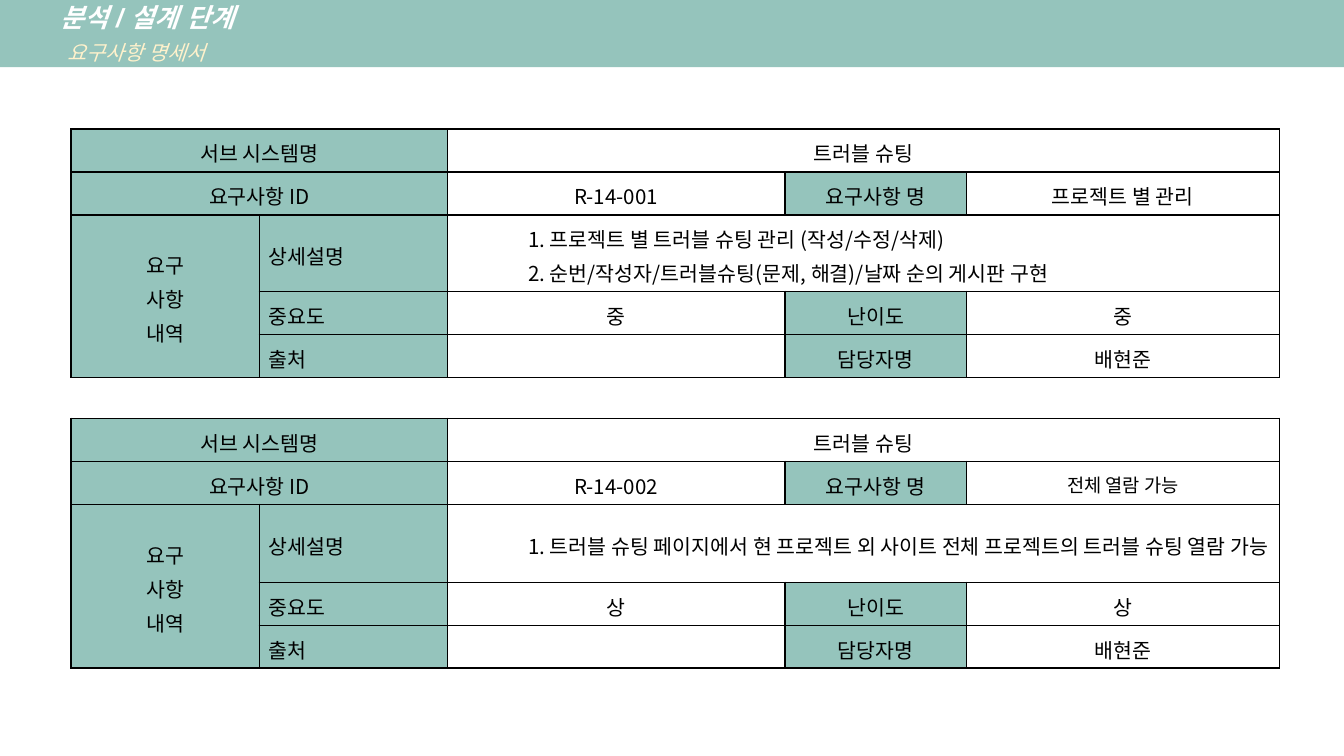
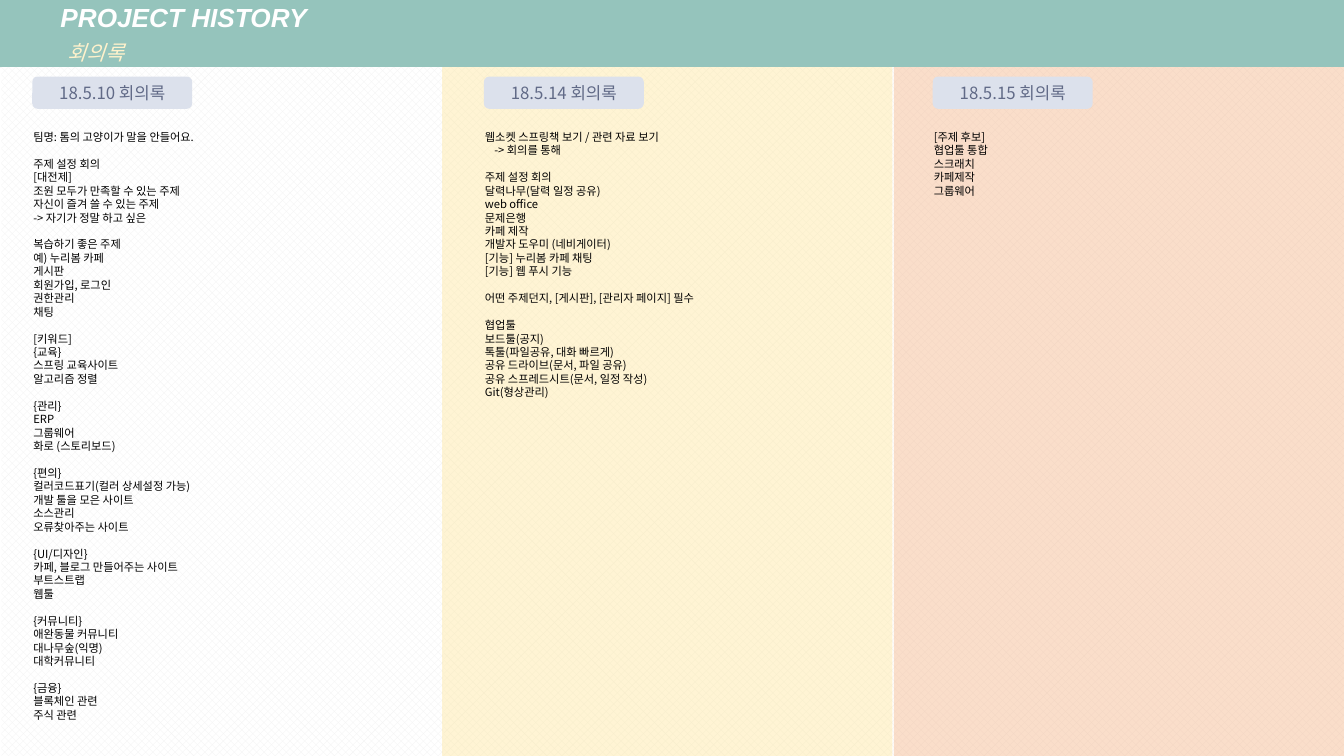
"""Build a requirements table slide and a meeting history slide."""
from lxml.etree import SubElement
from pptx import Presentation
from pptx.dml.color import RGBColor
from pptx.enum.dml import MSO_PATTERN
from pptx.enum.shapes import MSO_SHAPE
from pptx.enum.text import MSO_ANCHOR, MSO_AUTO_SIZE, PP_ALIGN
from pptx.oxml import parse_xml
from pptx.oxml.ns import nsdecls, qn
from pptx.util import Emu, Inches, Pt

WHITE = RGBColor(0xFF, 0xFF, 0xFF)
BLACK = RGBColor(0x00, 0x00, 0x00)
TEAL = RGBColor(0x95, 0xC4, 0xBC)
CREAM = RGBColor(0xFF, 0xF2, 0xCC)
PALE_GRAY = RGBColor(0xF2, 0xF2, 0xF2)
YELLOW = RGBColor(0xFF, 0xE6, 0x99)
ORANGE = RGBColor(0xF4, 0xB1, 0x83)
BADGE_FILL = RGBColor(0xDC, 0xE1, 0xEC)
BADGE_TEXT = RGBColor(0x61, 0x6A, 0x87)

TITLE_FONT = "Arial"
BODY_FONT = "Noto Sans CJK KR"
SLIDE_WIDTH = 10
SLIDE_HEIGHT = SLIDE_WIDTH * 9 / 16
BAND_BOTTOM = 0.5
PANEL_HEIGHT = SLIDE_HEIGHT - BAND_BOTTOM
NOTE_LINE = 7.2
TINT_PERCENT = 42

COLUMN_WIDTHS = [1.4, 1.4, 2.51, 1.35, 2.33]
ROW, SPACER = 0.32, 0.29
RECORD_ROWS = 5
RECORDS = [
    {
        "system": "트러블 슈팅", "id": "R-14-001", "name": "프로젝트 별 관리", "name_size": 11,
        "details": ["1. 프로젝트 별 트러블 슈팅 관리 (작성/수정/삭제)",
                    "2. 순번/작성자/트러블슈팅(문제, 해결)/날짜 순의 게시판 구현"],
        "importance": "중", "difficulty": "중", "owner": "배현준", "detail_height": 0.57,
    },
    {
        "system": "트러블 슈팅", "id": "R-14-002", "name": "전체 열람 가능", "name_size": 10,
        "details": ["1. 트러블 슈팅 페이지에서 현 프로젝트 외 사이트 전체 프로젝트의 트러블 슈팅 열람 가능"],
        "importance": "상", "difficulty": "상", "owner": "배현준", "detail_height": 0.58,
    },
]
LABELS = [
    (0, 0, ["서브 시스템명"], PP_ALIGN.CENTER),
    (1, 0, ["요구사항 ID"], PP_ALIGN.CENTER),
    (1, 3, ["요구사항 명"], PP_ALIGN.CENTER),
    (2, 0, ["요구", "사항", "내역"], PP_ALIGN.CENTER),
    (2, 1, ["상세설명"], PP_ALIGN.LEFT),
    (3, 1, ["중요도"], PP_ALIGN.LEFT),
    (3, 3, ["난이도"], PP_ALIGN.CENTER),
    (4, 1, ["출처"], PP_ALIGN.LEFT),
    (4, 3, ["담당자명"], PP_ALIGN.CENTER),
]
VALUES = [(0, 2, "system"), (1, 2, "id"), (1, 4, "name"), (3, 2, "importance"),
          (3, 4, "difficulty"), (4, 4, "owner")]
MERGES = [((0, 0), (0, 1)), ((0, 2), (0, 4)), ((1, 0), (1, 1)),
          ((2, 0), (4, 0)), ((2, 2), (2, 4))]

INDENTED_NOTE = "-> 회의를 통해"
MEETINGS = [
    (0.15, "18.5.10 회의록", [
        ["팀명: 톰의 고양이가 말을 안들어요."],
        ["주제 설정 회의", "[대전제]", "조원 모두가 만족할 수 있는 주제",
         "자신이 즐겨 쓸 수 있는 주제", "-> 자기가 정말 하고 싶은"],
        ["복습하기 좋은 주제", "예) 누리봄 카페", "게시판", "회원가입, 로그인", "권한관리", "채팅"],
        ["[키워드]", "{교육}", "스프링 교육사이트", "알고리즘 정렬"],
        ["{관리}", "ERP", "그룹웨어", "화로 (스토리보드)"],
        ["{편의}", "컬러코드표기(컬러 상세설정 가능)", "개발 툴을 모은 사이트", "소스관리",
         "오류찾아주는 사이트"],
        ["{UI/디자인}", "카페, 블로그 만들어주는 사이트", "부트스트랩", "웹툴"],
        ["{커뮤니티}", "애완동물 커뮤니티", "대나무숲(익명)", "대학커뮤니티"],
        ["{금융}", "블록체인 관련", "주식 관련"],
    ]),
    (3.51, "18.5.14 회의록", [
        ["웹소켓 스프링책 보기 / 관련 자료 보기", INDENTED_NOTE],
        ["주제 설정 회의", "달력나무(달력 일정 공유)", "web office", "문제은행", "카페 제작",
         "개발자 도우미 (네비게이터)", "[기능] 누리봄 카페 채팅", "[기능] 웹 푸시 기능"],
        ["어떤 주제던지, [게시판], [관리자 페이지] 필수"],
        ["협업툴", "보드툴(공지)", "톡툴(파일공유, 대화 빠르게)", "공유 드라이브(문서, 파일 공유)",
         "공유 스프레드시트(문서, 일정 작성)", "Git(형상관리)"],
    ]),
    (6.85, "18.5.15 회의록", [
        ["[주제 후보]", "협업툴 통합", "스크래치", "카페제작", "그룹웨어"],
    ]),
]


def indent_paragraph(paragraph, inches):
    properties = paragraph._p.get_or_add_pPr()
    properties.set("marL", str(Inches(inches)))
    properties.set("indent", "0")


def style_runs(paragraph, size, color, font=BODY_FONT, bold=False, italic=False):
    for run in paragraph.runs:
        run.font.size = Pt(size)
        run.font.name = font
        run.font.bold = bold
        run.font.italic = italic
        run.font.color.rgb = color
        SubElement(run._r.get_or_add_rPr(), qn("a:ea")).set("typeface", font)


def write_lines(text_frame, lines):
    text_frame.text = "\n".join(lines)
    return text_frame.paragraphs


def add_box(slide, left, top, width, height, color=None, kind=MSO_SHAPE.RECTANGLE):
    shape = slide.shapes.add_shape(kind, Inches(left), Inches(top), Inches(width), Inches(height))
    shape.shadow.inherit = False
    shape.line.fill.background()
    if color is not None:
        shape.fill.solid()
        shape.fill.fore_color.rgb = color
    text_frame = shape.text_frame
    text_frame.vertical_anchor = MSO_ANCHOR.MIDDLE
    text_frame.margin_left = text_frame.margin_right = Inches(0.07)
    text_frame.margin_top = text_frame.margin_bottom = Inches(0.04)
    return shape


def add_title_band(slide, title, subtitle):
    band = add_box(slide, 0, -0.01, SLIDE_WIDTH, BAND_BOTTOM + 0.01, TEAL)
    heading, subheading = write_lines(band.text_frame, [title, subtitle])
    for paragraph, indent in ((heading, 0.38), (subheading, 0.43)):
        paragraph.level = 1
        paragraph.alignment = PP_ALIGN.LEFT
        indent_paragraph(paragraph, indent)
    subheading.space_before = Pt(4)
    style_runs(heading, 14, WHITE, TITLE_FONT, bold=True, italic=True)
    style_runs(subheading, 11, CREAM, TITLE_FONT, italic=True)


def set_borders(cell, visible_sides):
    properties = cell._tc.get_or_add_tcPr()
    for position, side in enumerate("LRTB"):
        paint = f'<a:solidFill><a:srgbClr val="{BLACK}"/></a:solidFill>'
        if side not in visible_sides:
            paint = "<a:noFill/>"
        border = parse_xml(f'<a:ln{side} {nsdecls("a")} w="{Pt(1)}">{paint}</a:ln{side}>')
        properties.insert(position, border)


def write_cell(cell, lines, alignment=PP_ALIGN.CENTER, size=11, indent=0):
    for paragraph in write_lines(cell.text_frame, lines):
        paragraph.alignment = alignment
        paragraph.line_spacing = 1.15
        if indent:
            indent_paragraph(paragraph, indent)
        style_runs(paragraph, size, BLACK)


def fill_record(table, first_row, record):
    for (top, left), (bottom, right) in MERGES:
        table.cell(first_row + top, left).merge(table.cell(first_row + bottom, right))
    for row, column, lines, alignment in LABELS:
        cell = table.cell(first_row + row, column)
        write_cell(cell, lines, alignment)
        cell.fill.solid()
        cell.fill.fore_color.rgb = TEAL
    for row, column, key in VALUES:
        size = record["name_size"] if key == "name" else 11
        write_cell(table.cell(first_row + row, column), [record[key]], size=size)
    write_cell(table.cell(first_row + 2, 2), record["details"], PP_ALIGN.LEFT, indent=0.53)


def add_requirements_table(slide):
    heights = []
    for record in RECORDS:
        if heights:
            heights.append(SPACER)
        heights += [ROW, ROW, record["detail_height"], ROW, ROW]
    frame = slide.shapes.add_table(len(heights), len(COLUMN_WIDTHS), Inches(0.53), Inches(0.96),
                                   Inches(sum(COLUMN_WIDTHS)), Inches(sum(heights)))
    table = frame.table
    table.first_row = table.horz_banding = False
    for column, width in zip(table.columns, COLUMN_WIDTHS):
        column.width = Inches(width)
    for index, (row, height) in enumerate(zip(table.rows, heights)):
        row.height = Inches(height)
        is_spacer = index % (RECORD_ROWS + 1) == RECORD_ROWS
        for cell in row.cells:
            cell.margin_left = cell.margin_right = Inches(0.07)
            cell.margin_top = cell.margin_bottom = Emu(0)
            cell.vertical_anchor = MSO_ANCHOR.MIDDLE
            cell.fill.solid()
            cell.fill.fore_color.rgb = WHITE
            set_borders(cell, "TB" if is_spacer else "LRTB")
        if is_spacer:
            table.cell(index, 0).merge(table.cell(index, len(COLUMN_WIDTHS) - 1))
    for number, record in enumerate(RECORDS):
        fill_record(table, number * (RECORD_ROWS + 1), record)


def add_panels(slide):
    for left, width in ((0.01, 3.31), (3.3, 6.7)):
        panel = add_box(slide, left, BAND_BOTTOM, width, PANEL_HEIGHT)
        panel.fill.patterned()
        panel.fill.pattern = MSO_PATTERN.SOLID_DIAMOND
        panel.fill.fore_color.rgb = PALE_GRAY
        panel.fill.back_color.rgb = WHITE
    for left, color in ((6.65, ORANGE), (3.29, YELLOW)):
        panel = add_box(slide, left, BAND_BOTTOM, 3.35, PANEL_HEIGHT, color)
        color_element = panel._element.spPr.find(qn("a:solidFill")).find(qn("a:srgbClr"))
        SubElement(color_element, qn("a:alpha")).set("val", str(TINT_PERCENT * 1000))


def add_meeting(slide, left, date, groups):
    lines = [line for group in groups for line in group]
    line_count = len(lines) + len(groups) - 1
    notes = slide.shapes.add_textbox(Inches(left), Inches(0.92), Inches(2.93),
                                     Inches(0.1 + line_count * NOTE_LINE / 72))
    text_frame = notes.text_frame
    text_frame.word_wrap = True
    text_frame.auto_size = MSO_AUTO_SIZE.SHAPE_TO_FIT_TEXT
    paragraphs = write_lines(text_frame, lines)
    for paragraph in paragraphs:
        paragraph.line_spacing = Pt(NOTE_LINE)
        if paragraph.text == INDENTED_NOTE:
            indent_paragraph(paragraph, 0.07)
        style_runs(paragraph, 6, BLACK)
    start = 0
    for group in groups[:-1]:
        start += len(group)
        paragraphs[start].space_before = Pt(NOTE_LINE)

    badge = add_box(slide, left + 0.09, 0.57, 1.19, 0.24, BADGE_FILL, MSO_SHAPE.ROUNDED_RECTANGLE)
    label = write_lines(badge.text_frame, [date])[0]
    label.alignment = PP_ALIGN.CENTER
    style_runs(label, 9, BADGE_TEXT)


def main():
    presentation = Presentation()
    presentation.slide_width = Inches(SLIDE_WIDTH)
    presentation.slide_height = Inches(SLIDE_HEIGHT)
    blank = presentation.slide_layouts[6]

    requirements = presentation.slides.add_slide(blank)
    add_title_band(requirements, "분석 / 설계 단계", "요구사항 명세서")
    add_requirements_table(requirements)

    history = presentation.slides.add_slide(blank)
    add_title_band(history, "PROJECT HISTORY", "회의록")
    add_panels(history)
    for left, date, groups in MEETINGS:
        add_meeting(history, left, date, groups)

    presentation.save("out.pptx")


if __name__ == "__main__":
    main()
